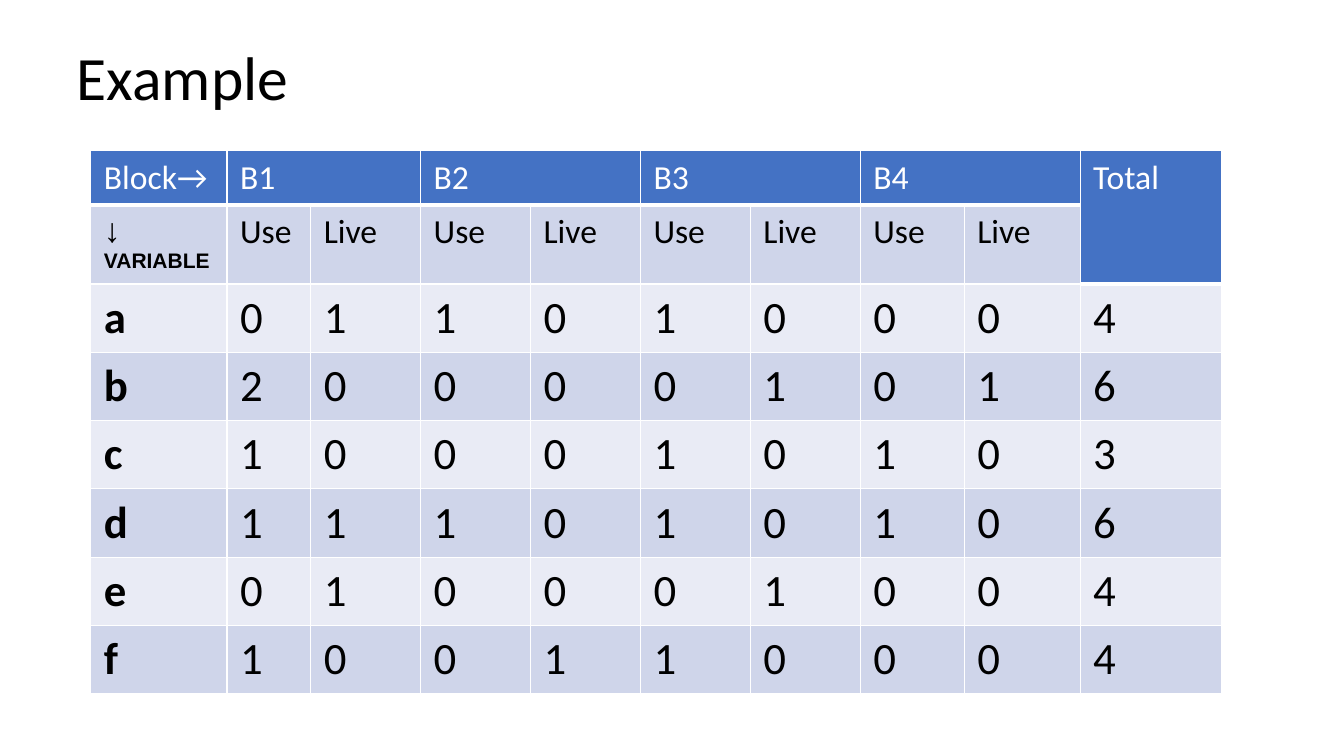
from lxml.etree import SubElement
from pptx import Presentation
from pptx.dml.color import RGBColor
from pptx.enum.text import MSO_ANCHOR, PP_ALIGN
from pptx.oxml.ns import qn
from pptx.util import Cm, Pt

HEADER, DARK_BAND, LIGHT_BAND = "4472C4", "CFD5EA", "E9EBF5"
WHITE, BLACK = "FFFFFF", "000000"
COL_WIDTHS = [3.43, 2.11] + [2.77] * 5 + [2.62, 2.92, 3.56]
ROW_HEIGHTS = [1.37, 1.98] + [1.7] * 6
BLOCKS = ["B1", "B2", "B3", "B4"]
COUNTS = {
    "a": [0, 1, 1, 0, 1, 0, 0, 0, 4],
    "b": [2, 0, 0, 0, 0, 1, 0, 1, 6],
    "c": [1, 0, 0, 0, 1, 0, 1, 0, 3],
    "d": [1, 1, 1, 0, 1, 0, 1, 0, 6],
    "e": [0, 1, 0, 0, 0, 1, 0, 0, 4],
    "f": [1, 0, 0, 1, 1, 0, 0, 0, 4],
}


def rgb(value):
    return RGBColor.from_string(value)


def add_run(p, text, size, color=BLACK, font="Calibri", bold=False):
    r = p.add_run()
    r.text = text
    r.font.size = Pt(size)
    r.font.name = font
    r.font.bold = bold
    r.font.color.rgb = rgb(color)


def style_cell(cell, fill, bottom=1):
    cell.margin_left = cell.margin_right = Cm(0.33)
    cell.margin_top = cell.margin_bottom = Cm(0.17)
    tcPr = cell._tc.get_or_add_tcPr()
    for side, width in (("L", 1), ("R", 1), ("T", 1), ("B", bottom)):
        ln = SubElement(tcPr, qn(f"a:ln{side}"), w=str(Pt(width)))
        solid = SubElement(ln, qn("a:solidFill"))
        SubElement(solid, qn("a:srgbClr"), val=WHITE)
    cell.fill.solid()
    cell.fill.fore_color.rgb = rgb(fill)


def add_title(s, left, top, width, height):
    title = s.shapes.title
    title.left, title.top, title.width, title.height = (
        Cm(left), Cm(top), Cm(width), Cm(height))
    tf = title.text_frame
    tf.word_wrap = True
    tf.vertical_anchor = MSO_ANCHOR.MIDDLE
    p = tf.paragraphs[0]
    p.alignment = PP_ALIGN.LEFT
    p.line_spacing = 0.9
    add_run(p, "Example", 44)


def fill_header(table):
    last = len(COL_WIDTHS) - 1
    labels = {0: "Block→", last: "Total"}
    for i, block in enumerate(BLOCKS):
        col = 1 + 2 * i
        labels[col] = block
        table.cell(0, col).merge(table.cell(0, col + 1))
        for j, kind in enumerate(["Use", "Live"]):
            add_run(table.cell(1, col + j).text_frame.paragraphs[0], kind, 24)
    table.cell(0, last).merge(table.cell(1, last))
    for col, label in labels.items():
        add_run(table.cell(0, col).text_frame.paragraphs[0], label, 24, WHITE)
    tf = table.cell(1, 0).text_frame
    add_run(tf.paragraphs[0], "↓", 24, font="Arial")
    add_run(tf.add_paragraph(), "VARIABLE", 15, font="Arial", bold=True)


def fill_counts(table):
    for row, (variable, counts) in enumerate(COUNTS.items(), 2):
        for col, value in enumerate([variable, *counts]):
            p = table.cell(row, col).text_frame.paragraphs[0]
            add_run(p, str(value), 32, bold=col == 0)


def add_usage_table(s, left, top):
    rows, cols = len(ROW_HEIGHTS), len(COL_WIDTHS)
    table = s.shapes.add_table(
        rows, cols, Cm(left), Cm(top),
        Cm(sum(COL_WIDTHS)), Cm(sum(ROW_HEIGHTS))).table
    for col, width in zip(table.columns, COL_WIDTHS):
        col.width = Cm(width)
    for row, height in zip(table.rows, ROW_HEIGHTS):
        row.height = Cm(height)
    for row in range(rows):
        for col in range(cols):
            cell = table.cell(row, col)
            if row == 0 or (row == 1 and col == cols - 1):
                style_cell(cell, HEADER, bottom=3)
            else:
                style_cell(cell, DARK_BAND if row % 2 else LIGHT_BAND)
    fill_header(table)
    fill_counts(table)


def main():
    prs = Presentation()
    prs.slide_width, prs.slide_height = Cm(33.87), Cm(19.05)
    s = prs.slides.add_slide(prs.slide_layouts[5])
    add_title(s, 1.68, 0.43, 30.48, 3.18)
    add_usage_table(s, 2.29, 3.8)
    prs.save("out.pptx")


if __name__ == "__main__":
    main()
